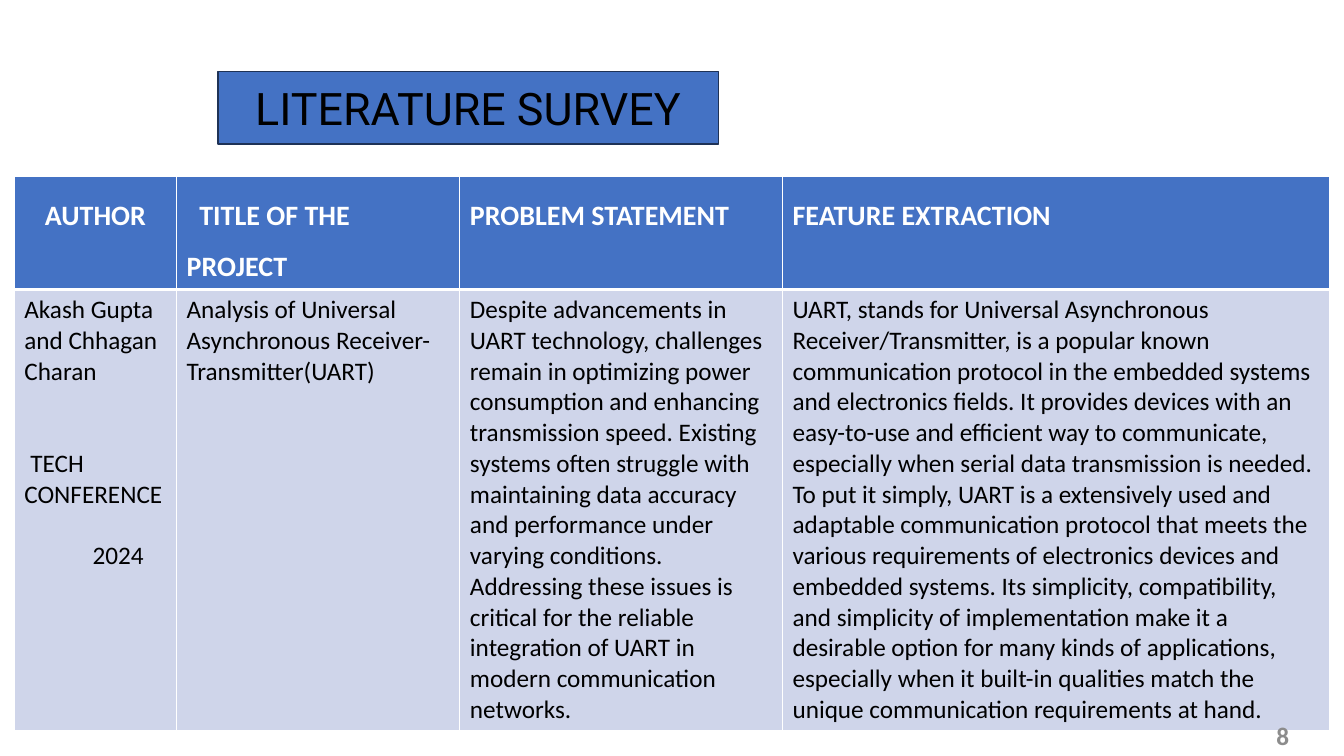
from dataclasses import dataclass
from typing import Any

from lxml import etree
from pptx import Presentation
from pptx.dml.color import RGBColor
from pptx.enum import text as et
from pptx.oxml import ns
from pptx.util import Cm, Pt


@dataclass(frozen=True)
class Theme:
    blue: str = "4472C4"
    edge: str = "1E3256"
    pale: str = "CFD5EA"
    white: str = "FFFFFF"
    black: str = "000000"
    gray: str = "8C8C8C"
    font: str = "Calibri"
    head: str = "Roboto"
    big: int = 32
    mid: int = 20
    body: int = 18


@dataclass(frozen=True)
class Para:
    text: str
    left: float = 0     # margin of the whole paragraph, cm
    first: float = 0    # extra indent of the first line, cm
    gap: float = 0      # space before, points
    align: Any = et.PP_ALIGN.LEFT


@dataclass(frozen=True)
class Column:
    width: float
    head: Para
    body: tuple[Para, ...]


T = Theme()

COLS = [
    Column(4.09, Para("AUTHOR", align=et.PP_ALIGN.CENTER), (
        Para("Akash Gupta and Chhagan Charan"),
        Para("TECH CONFERENCE", first=0.15, gap=44),
        Para("2024", left=1.72, gap=22),
    )),
    Column(7.14, Para("TITLE OF THE PROJECT", first=0.32), (
        Para("Analysis of Universal Asynchronous Receiver-Transmitter(UART)"),
    )),
    Column(8.13, Para("PROBLEM STATEMENT"), (
        Para("Despite advancements in UART technology, challenges remain in "
             "optimizing power consumption and enhancing transmission speed. "
             "Existing systems often struggle with maintaining data accuracy "
             "and performance under varying conditions. Addressing these "
             "issues is critical for the reliable integration of UART in "
             "modern communication networks."),
    )),
    Column(13.79, Para("FEATURE EXTRACTION"), (
        Para("UART, stands for Universal Asynchronous Receiver/Transmitter, "
             "is a popular known communication protocol in the embedded "
             "systems and electronics fields. It provides devices with an "
             "easy-to-use and efficient way to communicate, especially when "
             "serial data transmission is needed. To put it simply, UART is a "
             "extensively used and adaptable communication protocol that "
             "meets the various requirements of electronics devices and "
             "embedded systems. Its simplicity, compatibility, and simplicity "
             "of implementation make it a desirable option for many kinds of "
             "applications, especially when it built-in qualities match the "
             "unique communication requirements at hand."),
    )),
]


def write(frame: Any, *paras: Para, size: int = T.body, color: str = T.black,
          font: str = T.font, bold: bool = False, lead: float = 1.0) -> None:
    """Fill a text frame with formatted paragraphs."""
    frame.word_wrap = True
    for i, para in enumerate(paras):
        p = frame.paragraphs[0] if i == 0 else frame.add_paragraph()
        p.alignment, p.line_spacing = para.align, lead
        p.space_before, p.space_after = Pt(para.gap), Pt(0)
        props = p._p.get_or_add_pPr()
        props.set("marL", str(Cm(para.left)))
        props.set("indent", str(Cm(para.first)))
        run = p.add_run()
        run.text = para.text
        run.font.name, run.font.size, run.font.bold = font, Pt(size), bold
        run.font.color.rgb = RGBColor.from_string(color)


def paint(fill: Any, color: str) -> None:
    fill.solid()
    fill.fore_color.rgb = RGBColor.from_string(color)


def border(cell: Any, **widths: float) -> None:
    """Draw white cell edges, widths in points in the order L, R, T, B."""
    props = cell._tc.get_or_add_tcPr()
    for i, (side, width) in enumerate(widths.items()):
        line = etree.Element(ns.qn(f"a:ln{side}"), w=str(Pt(width)))
        fill = etree.SubElement(line, ns.qn("a:solidFill"))
        etree.SubElement(fill, ns.qn("a:srgbClr"), val=T.white)
        props.insert(i, line)


def add_title(slide: Any) -> None:
    box = slide.shapes.title
    box.left, box.top, box.width, box.height = Cm(5.49), Cm(1.8), Cm(12.62), Cm(1.83)
    paint(box.fill, T.blue)
    paint(box.line.fill, T.edge)
    box.line.width = Pt(1)
    frame = box.text_frame
    frame.auto_size = et.MSO_AUTO_SIZE.NONE
    frame.vertical_anchor = et.MSO_ANCHOR.MIDDLE
    write(frame, Para("LITERATURE SURVEY", align=et.PP_ALIGN.CENTER),
          size=T.big, font=T.head)


def add_survey(slide: Any) -> None:
    wide = sum(col.width for col in COLS)
    grid = slide.shapes.add_table(2, len(COLS), Cm(0.36), Cm(4.45),
                                  Cm(wide), Cm(13.61)).table
    grid.rows[0].height, grid.rows[1].height = Cm(2.51), Cm(11.1)
    for i, col in enumerate(COLS):
        grid.columns[i].width = Cm(col.width)
        top, low = grid.cell(0, i), grid.cell(1, i)
        paint(top.fill, T.blue)
        paint(low.fill, T.pale)
        border(top, L=1, R=1, T=1, B=3)
        border(low, L=1, R=1, T=3, B=1)
        write(top.text_frame, col.head, size=T.mid, color=T.white,
              bold=True, lead=1.5)
        write(low.text_frame, *col.body)


def add_number(slide: Any) -> None:
    box = slide.shapes.add_textbox(Cm(25.12), Cm(18.03), Cm(7.62), Cm(1.02))
    box.text_frame.vertical_anchor = et.MSO_ANCHOR.MIDDLE
    write(box.text_frame, Para("8", align=et.PP_ALIGN.RIGHT),
          color=T.gray, bold=True)


def main() -> None:
    deck = Presentation()
    deck.slide_width, deck.slide_height = Cm(33.87), Cm(19.05)
    slide = deck.slides.add_slide(deck.slide_layouts[5])  # title only
    add_title(slide)
    add_survey(slide)
    add_number(slide)
    deck.save("out.pptx")


if __name__ == "__main__":
    main()
